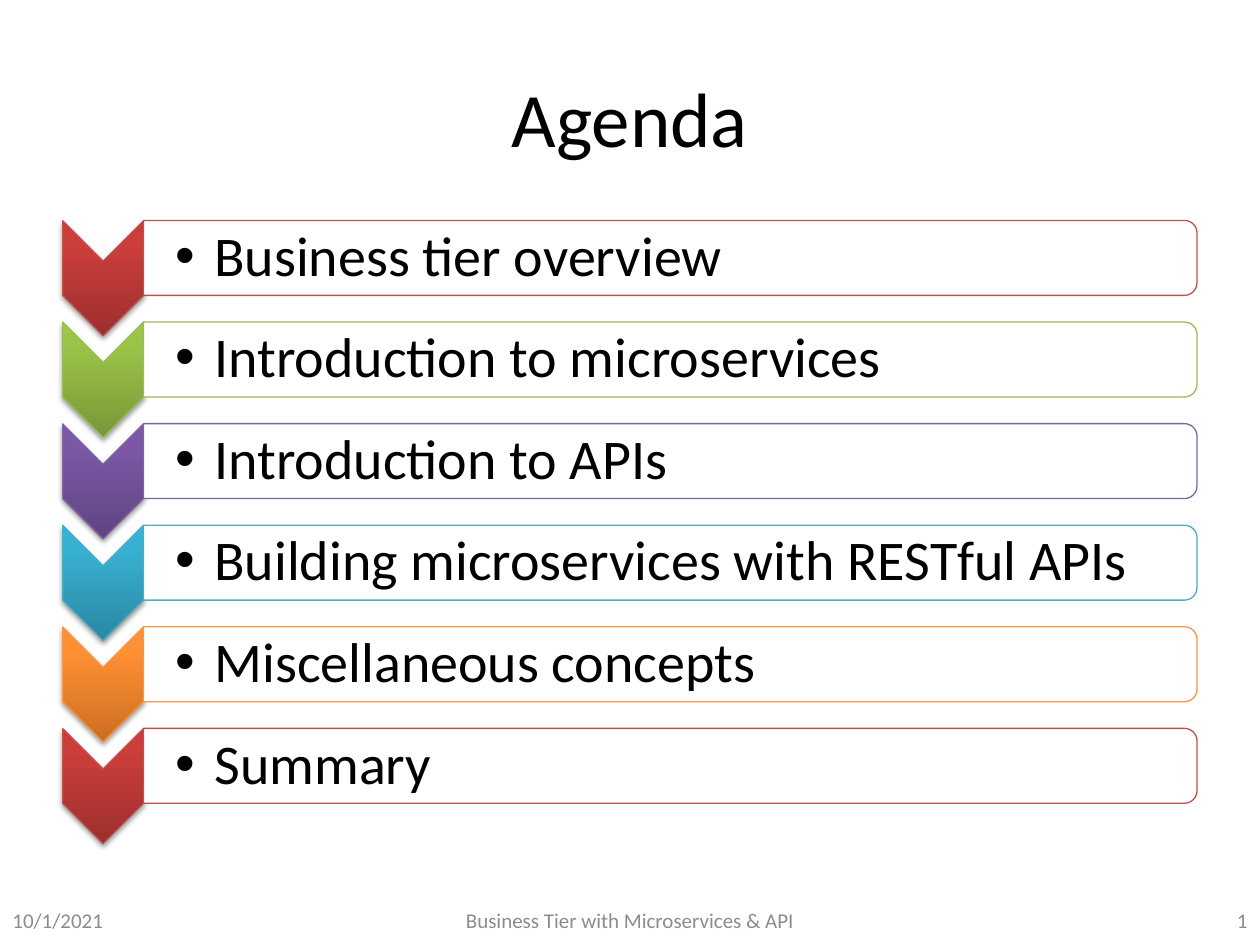
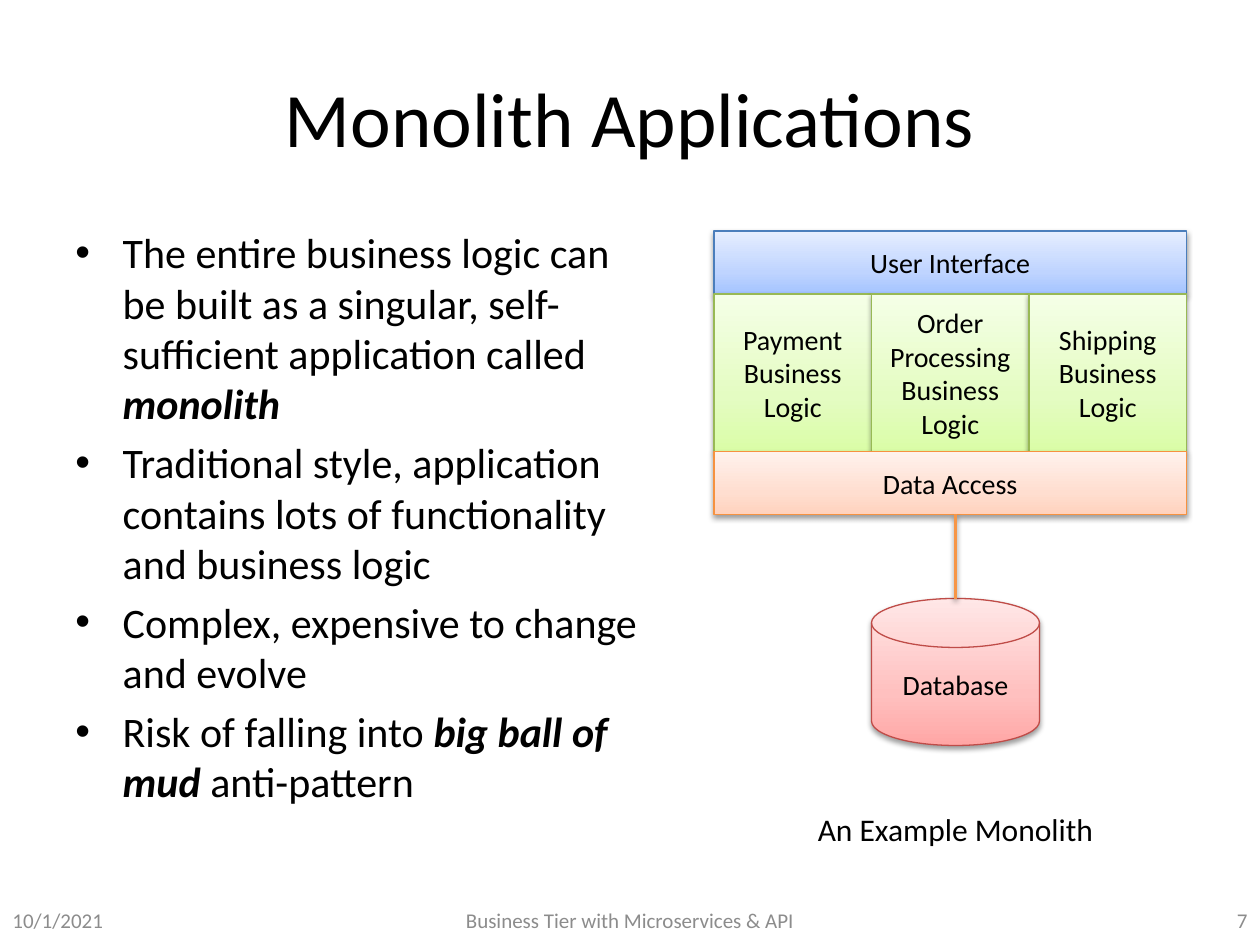
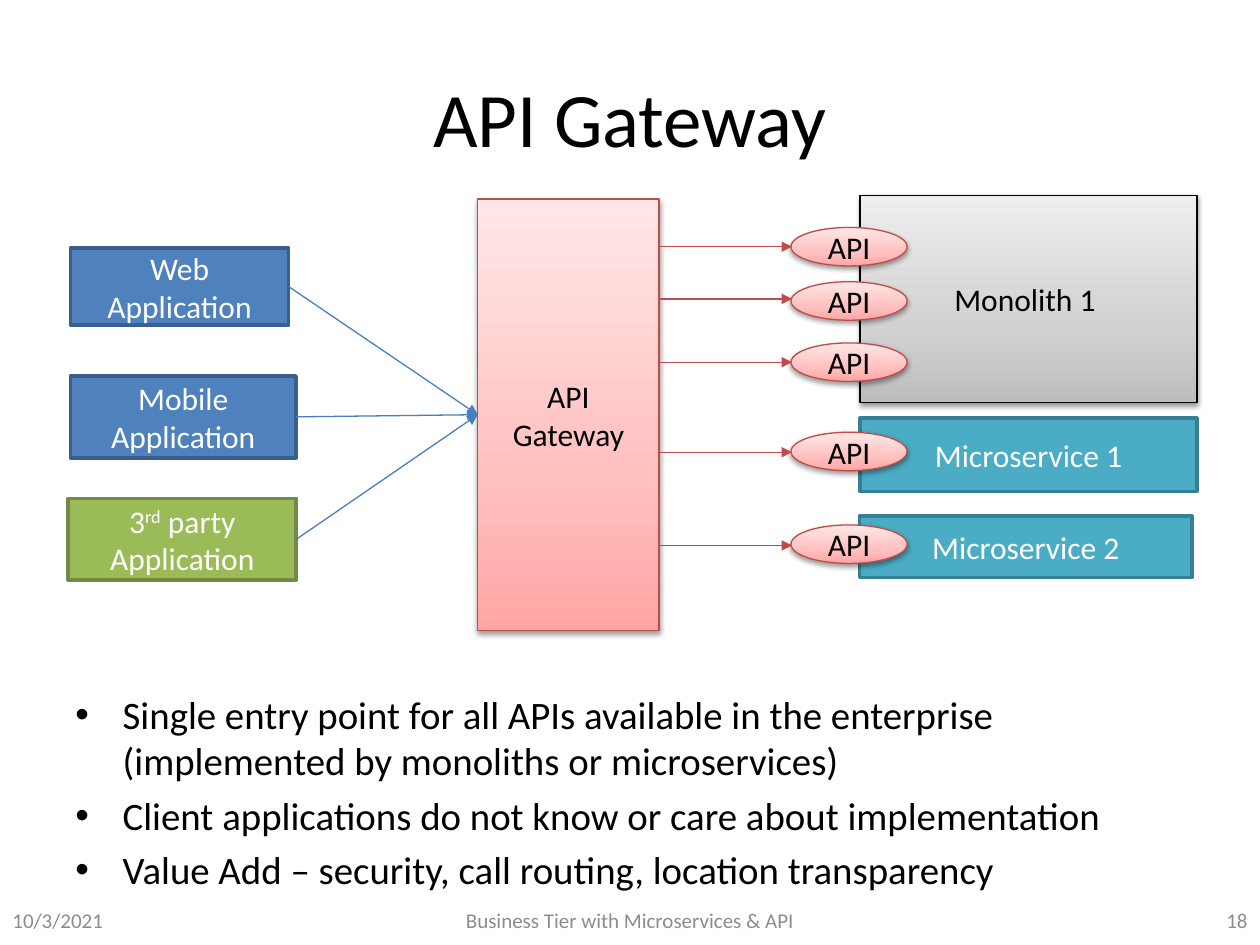
from copy import deepcopy

from lxml import etree
from pptx import Presentation
from pptx.dml.color import RGBColor
from pptx.enum.shapes import MSO_CONNECTOR, MSO_SHAPE
from pptx.enum.text import MSO_ANCHOR, PP_ALIGN
from pptx.oxml import parse_xml
from pptx.oxml.ns import nsdecls, qn
from pptx.util import Pt

FONT = "Calibri"
BLACK = RGBColor(0x00, 0x00, 0x00)
WHITE = RGBColor(0xFF, 0xFF, 0xFF)
FOOTER_GREY = RGBColor(0x8C, 0x8C, 0x8C)

RED = RGBColor(0xC0, 0x50, 0x4D)
GREEN = RGBColor(0x9B, 0xBB, 0x59)
PURPLE = RGBColor(0x80, 0x64, 0xA2)
TEAL = RGBColor(0x4B, 0xAC, 0xC6)
ORANGE = RGBColor(0xF7, 0x96, 0x46)
BLUE = RGBColor(0x4F, 0x81, 0xBD)

BLUE_EDGE = RGBColor(0x4B, 0x7E, 0xBC)
GREEN_EDGE = RGBColor(0x98, 0xB9, 0x55)
ORANGE_EDGE = RGBColor(0xF6, 0x92, 0x40)
RED_EDGE = RGBColor(0xBF, 0x4C, 0x48)
DARK_BLUE = RGBColor(0x3A, 0x5F, 0x8C)
DARK_GREEN = RGBColor(0x73, 0x8A, 0x42)
DARK_TEAL = RGBColor(0x37, 0x7F, 0x92)

# Gradients run from bottom to top
PALE_STOPS = (0, 35, 100)
PALE_BLUE = (RGBColor(0xA4, 0xC4, 0xFF), RGBColor(0xBF, 0xD4, 0xFF), RGBColor(0xE6, 0xEE, 0xFF))
PALE_GREEN = (RGBColor(0xDA, 0xFD, 0xA7), RGBColor(0xE4, 0xFC, 0xC2), RGBColor(0xF5, 0xFF, 0xE7))
PALE_ORANGE = (RGBColor(0xFF, 0xD2, 0xBD), RGBColor(0xFF, 0xDE, 0xD0), RGBColor(0xFF, 0xF2, 0xED))
PALE_RED = (RGBColor(0xFF, 0xA6, 0xA5), RGBColor(0xFF, 0xC0, 0xBF), RGBColor(0xFF, 0xE7, 0xE7))
PALE_GREY = (RGBColor(0xBD, 0xBD, 0xBD), RGBColor(0xD1, 0xD1, 0xD1), RGBColor(0xEE, 0xEE, 0xEE))
DEEP_STOPS = (0, 80, 100)
DEEP_RED = (RGBColor(0x9C, 0x2F, 0x2D), RGBColor(0xCB, 0x3E, 0x3A), RGBColor(0xCE, 0x3B, 0x37))
DEEP_GREEN = (RGBColor(0x77, 0x97, 0x37), RGBColor(0x9B, 0xC3, 0x48), RGBColor(0x9D, 0xC7, 0x46))
DEEP_PURPLE = (RGBColor(0x5F, 0x44, 0x80), RGBColor(0x7B, 0x58, 0xA6), RGBColor(0x7C, 0x57, 0xA8))
DEEP_TEAL = (RGBColor(0x2A, 0x88, 0xA2), RGBColor(0x37, 0xB1, 0xD2), RGBColor(0x34, 0xB4, 0xD6))
DEEP_ORANGE = (RGBColor(0xCC, 0x6E, 0x20), RGBColor(0xFF, 0x90, 0x34), RGBColor(0xFF, 0x91, 0x36))

SHADOW = parse_xml(
    f'<a:outerShdw {nsdecls("a")} blurRad="{Pt(3.1)}" dist="{Pt(1.6)}" dir="5400000" '
    'rotWithShape="0"><a:srgbClr val="000000"><a:alpha val="38000"/></a:srgbClr></a:outerShdw>'
)


def write(frame, lines, size, color=BLACK, align=PP_ALIGN.CENTER, anchor=MSO_ANCHOR.MIDDLE):
    """Fill a text frame, one paragraph a line; "|" starts a new run."""
    frame.word_wrap = True
    frame.vertical_anchor = anchor
    for index, line in enumerate(lines):
        paragraph = frame.add_paragraph() if index else frame.paragraphs[0]
        paragraph.alignment = align
        for part in line.split("|"):
            run = paragraph.add_run()
            run.text = part
            run.font.name = FONT
            run.font.size = Pt(size)
            run.font.color.rgb = color
    return frame


def add_block(slide, preset, at, fill, edge, stops=PALE_STOPS, width=0.75):
    """Add a shape; a tuple as fill gives a gradient with a soft shadow."""
    block = slide.shapes.add_shape(preset, *map(Pt, at))
    block.shadow.inherit = False
    block.line.color.rgb = edge
    block.line.width = Pt(width)
    if isinstance(fill, RGBColor):
        block.fill.solid()
        block.fill.fore_color.rgb = fill
        return block
    block.fill.gradient()
    block.fill.gradient_angle = 90
    properties = block._element.spPr
    gradient = properties.find(qn("a:gradFill"))
    gradient.set("rotWithShape", "0")
    stop_list = gradient.find(qn("a:gsLst"))
    for old_stop in list(stop_list):
        stop_list.remove(old_stop)
    for position, color in zip(stops, fill):
        stop = etree.SubElement(stop_list, qn("a:gs"), pos=str(position * 1000))
        etree.SubElement(stop, qn("a:srgbClr"), val=str(color))
    properties.find(qn("a:effectLst")).append(deepcopy(SHADOW))
    return block


deck = Presentation()
deck.slide_width, deck.slide_height = Pt(720), Pt(540)

# Titles and footers
slides = []
for title, date, number in (
    ("Agenda", "10/1/2021", "1"),
    ("Monolith Applications", "10/1/2021", "7"),
    ("API Gateway", "10/3/2021", "18"),
):
    slide = deck.slides.add_slide(deck.slide_layouts[5])
    heading = slide.shapes.title
    heading.left, heading.top, heading.width, heading.height = Pt(36), Pt(21.6), Pt(648), Pt(90)
    write(heading.text_frame, [title], 44)
    for text, left, width, align in (
        (date, 0, 168, PP_ALIGN.LEFT),
        (number, 552, 168, PP_ALIGN.RIGHT),
        ("Business Tier with Microservices & API", 246, 228, PP_ALIGN.CENTER),
    ):
        footer = slide.shapes.add_textbox(Pt(left), Pt(511.2), Pt(width), Pt(28.8))
        write(footer.text_frame, [text], 12, FOOTER_GREY, align)
    slides.append(slide)
agenda, monolith, gateway = slides

bulleted = []  # (text frame, indent, space before)
links = []  # (slide, from x, from y, to x, to y, colour)

# Agenda: each row has a chevron and a panel, both turned by 90 degrees
ROW_PITCH = 58.05
PANEL_LENGTH, PANEL_HEIGHT = 602, 42.8
CHEVRON_LENGTH, CHEVRON_WIDTH = 65.8, 46.2
topics = (
    ("Business tier overview", DEEP_RED, RED),
    ("Introduction to microservices", DEEP_GREEN, GREEN),
    ("Introduction to APIs", DEEP_PURPLE, PURPLE),
    ("Building microservices with RESTful APIs", DEEP_TEAL, TEAL),
    ("Miscellaneous concepts", DEEP_ORANGE, ORANGE),
    ("Summary", DEEP_RED, RED),
)
for row, (topic, fill, edge) in enumerate(topics):
    middle = 147.4 + row * ROW_PITCH
    chevron_at = (26, middle + 11.6 - CHEVRON_WIDTH / 2, CHEVRON_LENGTH, CHEVRON_WIDTH)
    chevron = add_block(agenda, MSO_SHAPE.CHEVRON, chevron_at, fill, edge, DEEP_STOPS)
    panel_at = (383 - PANEL_HEIGHT / 2, middle - PANEL_LENGTH / 2, PANEL_HEIGHT, PANEL_LENGTH)
    panel = add_block(agenda, MSO_SHAPE.ROUND_2_SAME_RECTANGLE, panel_at, WHITE, edge)
    chevron.rotation = panel.rotation = 90
    label = agenda.shapes.add_textbox(Pt(82), Pt(middle - 19.4), Pt(600), Pt(38.8))
    frame = write(label.text_frame, [topic], 32, align=PP_ALIGN.LEFT)
    frame.margin_left = Pt(18)
    frame.margin_top = frame.margin_right = frame.margin_bottom = Pt(1.6)
    frame.paragraphs[0].line_spacing = 0.9
    bulleted.append((frame, 22.5, 0))

# Monolith and gateway: body text
for slide, at, size, lines in (
    (monolith, (36, 126, 336, 356.4), 24, (
        "The entire business logic can be built as a singular, self-sufficient application called |monolith",
        "Traditional style, application contains lots of functionality and business logic",
        "Complex, expensive to change and evolve",
        "Risk of falling into |big ball of mud| anti-pattern",
    )),
    (gateway, (36, 391, 636, 113), 22.2, (
        "Single entry point for all APIs available in the enterprise (implemented by monoliths or microservices)",
        "Client applications do not know or care about implementation",
        "Value Add – security, call routing, location transparency",
    )),
):
    body = slide.shapes.add_textbox(*map(Pt, at))
    frame = write(body.text_frame, lines, size, align=PP_ALIGN.LEFT, anchor=MSO_ANCHOR.TOP)
    for paragraph in frame.paragraphs:
        for emphasis in paragraph.runs[1::2]:
            emphasis.font.bold = emphasis.font.italic = True
    bulleted.append((frame, 27, size * 0.2))

# Monolith: layers of the application above its database
caption = monolith.shapes.add_textbox(Pt(435), Pt(459.4), Pt(222), Pt(29))
write(caption.text_frame, ["An Example Monolith"], 18, anchor=MSO_ANCHOR.TOP)
layers = [("User Interface", MSO_SHAPE.RECTANGLE, (408, 132, 270, 36), PALE_BLUE, BLUE_EDGE)]
for column, domain in enumerate(("Payment", "Order Processing", "Shipping")):
    logic_at = (408 + 90 * column, 168, 90, 90)
    layers.append((f"{domain} Business Logic", MSO_SHAPE.RECTANGLE, logic_at, PALE_GREEN, GREEN_EDGE))
layers += [
    ("Data Access", MSO_SHAPE.RECTANGLE, (408, 258, 270, 36), PALE_ORANGE, ORANGE_EDGE),
    ("Database", MSO_SHAPE.FLOWCHART_MAGNETIC_DISK, (498, 342, 96, 84), PALE_RED, RED_EDGE),
]
for name, preset, at, fill, edge in layers:
    write(add_block(monolith, preset, at, fill, edge).text_frame, [name], 16)
links.append((monolith, 546, 294, 546, 342, ORANGE))

# Gateway: clients on the left, services on the right
GATEWAY_LEFT, GATEWAY_RIGHT, GATEWAY_MIDDLE = 273, 376.6, 237
gateway_at = (GATEWAY_LEFT, 113.8, GATEWAY_RIGHT - GATEWAY_LEFT, 246.4)
hub = add_block(gateway, MSO_SHAPE.RECTANGLE, gateway_at, PALE_RED, RED_EDGE)
write(hub.text_frame, ["API Gateway"], 18)

for name, at, fill, edge in (
    ("Web Application", (40.2, 141.8, 124.8, 44), BLUE, DARK_BLUE),
    ("Mobile Application", (40.2, 214.8, 129, 46.8), BLUE, DARK_BLUE),
    ("3|rd| party Application", (39, 284.8, 130.3, 46.8), GREEN, DARK_GREEN),
):
    client = add_block(gateway, MSO_SHAPE.RECTANGLE, at, fill, edge, width=2)
    frame = write(client.text_frame, [name], 18, WHITE)
    for ordinal in frame.paragraphs[0].runs[1:2]:
        ordinal.font._element.set("baseline", "30000")
    left, top, width, height = at
    links.append((gateway, left + width, top + height / 2, GATEWAY_LEFT, GATEWAY_MIDDLE, BLUE_EDGE))

for name, at, fill, edge, color, width in (
    ("Monolith 1 ", (491.5, 111.6, 192.5, 118.4), PALE_GREY, BLACK, BLACK, 0.75),
    ("Microservice 1", (491.5, 239, 192.5, 41.8), TEAL, DARK_TEAL, WHITE, 2),
    ("Microservice 2", (491.2, 295, 190, 35), TEAL, DARK_TEAL, WHITE, 2),
):
    service = add_block(gateway, MSO_SHAPE.RECTANGLE, at, fill, edge, width=width)
    write(service.text_frame, [name], 18, color)

for api_top, call_y in ((130, 141), (161, 170.8), (196, 207), (247, 258.4), (300, 311.7)):
    api = add_block(gateway, MSO_SHAPE.OVAL, (452, api_top, 66.4, 22), PALE_RED, RED_EDGE)
    write(api.text_frame, ["API"], 18)
    links.append((gateway, GATEWAY_RIGHT, call_y, 452.6, call_y, RED_EDGE))

# Lines: arrows between systems, a plain shadowed line to the database
for slide, from_x, from_y, to_x, to_y, color in links:
    link = slide.shapes.add_connector(
        MSO_CONNECTOR.STRAIGHT, Pt(from_x), Pt(from_y), Pt(to_x), Pt(to_y)
    )
    link.line.color.rgb = color
    link.line.width = Pt(2 if slide is monolith else 0.75)
    effects = etree.SubElement(link._element.spPr, qn("a:effectLst"))
    if slide is monolith:
        effects.append(deepcopy(SHADOW))
    else:
        etree.SubElement(link.line._get_or_add_ln(), qn("a:tailEnd"), type="triangle")

# Bullets
for frame, indent, space_before in bulleted:
    for paragraph in frame.paragraphs:
        paragraph.space_before = Pt(space_before)
        properties = paragraph._element.get_or_add_pPr()
        properties.set("marL", str(Pt(indent)))
        properties.set("indent", str(-Pt(indent)))
        etree.SubElement(properties, qn("a:buFont"), typeface="Arial")
        etree.SubElement(properties, qn("a:buChar"), char="•")

deck.save("out.pptx")
